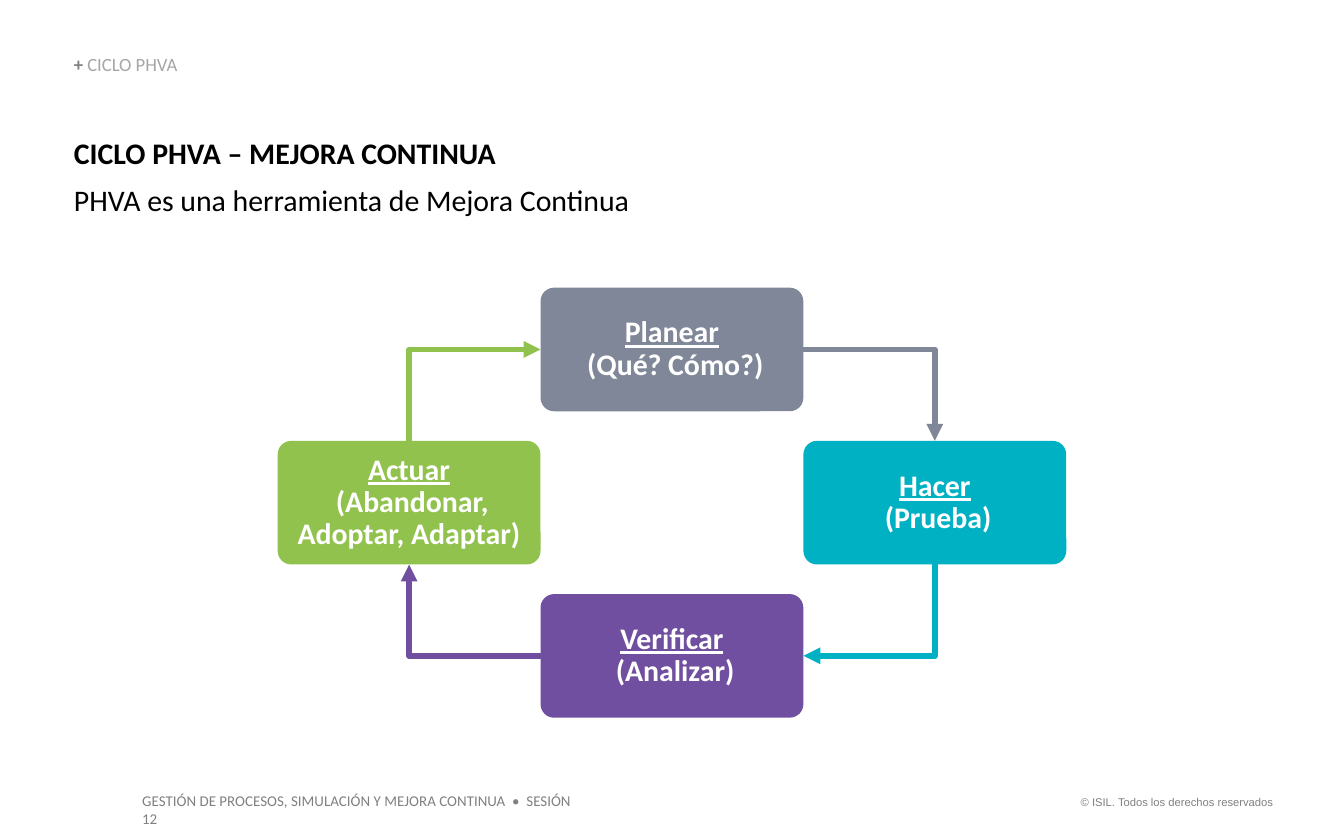
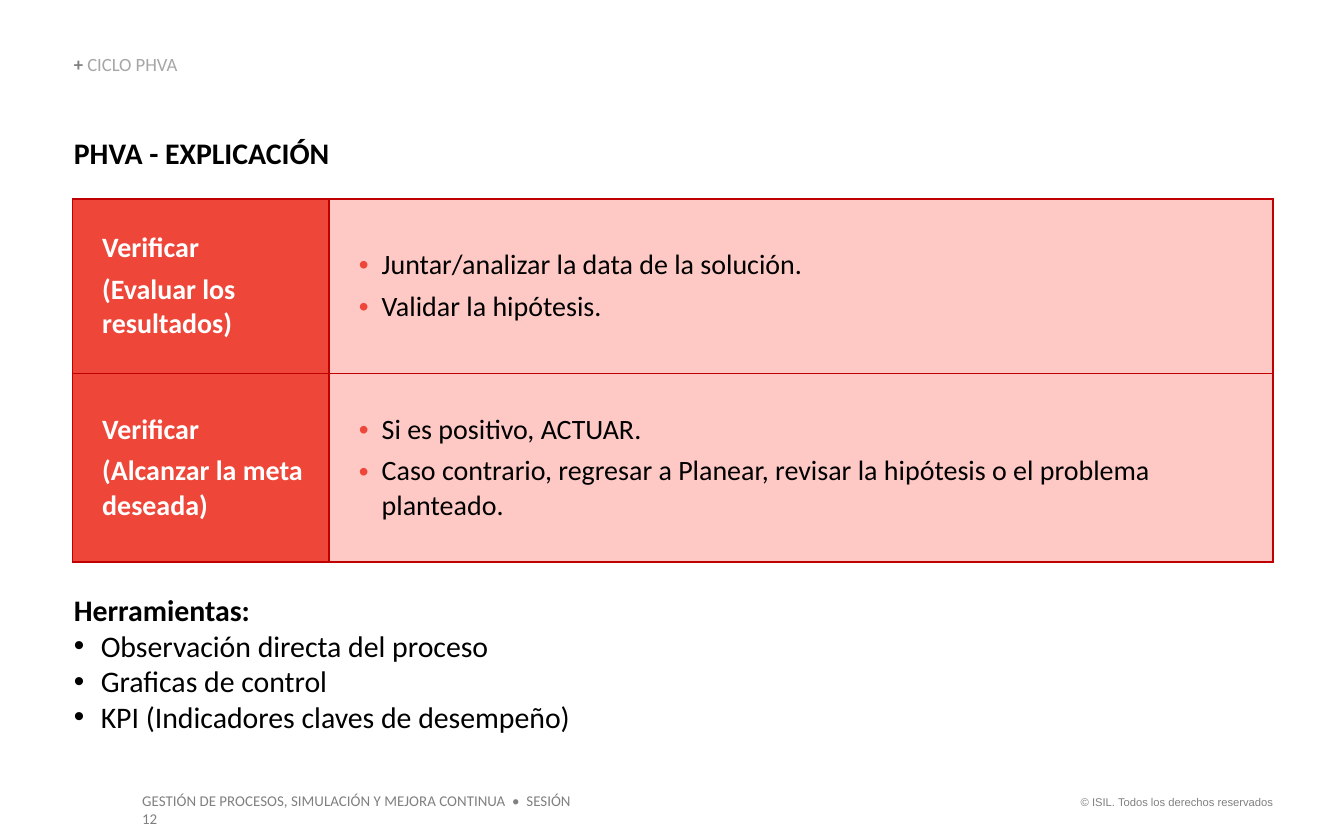
from lxml.etree import SubElement
from pptx import Presentation
from pptx.dml.color import RGBColor
from pptx.enum.shapes import MSO_CONNECTOR, MSO_SHAPE
from pptx.enum.text import MSO_ANCHOR, PP_ALIGN
from pptx.oxml.ns import qn
from pptx.util import Inches, Pt

BLACK = RGBColor(0x00, 0x00, 0x00)
WHITE = RGBColor(0xFF, 0xFF, 0xFF)
GRAY = RGBColor(0x80, 0x80, 0x80)
SILVER = RGBColor(0xA6, 0xA6, 0xA6)
SLATE = RGBColor(0x80, 0x87, 0x99)
TEAL = RGBColor(0x00, 0xB1, 0xC3)
PURPLE = RGBColor(0x71, 0x4F, 0xA0)
GREEN = RGBColor(0x92, 0xC2, 0x4E)
RED = RGBColor(0xEE, 0x46, 0x39)
PINK = RGBColor(0xFE, 0xC9, 0xC5)
BORDER = RGBColor(0xC0, 0x00, 0x00)

deck = Presentation()
deck.slide_width = Inches(10)
deck.slide_height = Inches(6.25)
COL = deck.slide_width / 100
ROW = deck.slide_height / 62.5
EDGE = 5.5


def put(slide, x, y, wide, high, inset=True):
    box = slide.shapes.add_textbox(int(x * COL), int(y * ROW), int(wide * COL), int(high * ROW))
    frame = box.text_frame
    frame.word_wrap = True
    if not inset:
        frame.margin_left = frame.margin_right = frame.margin_top = frame.margin_bottom = 0
    return frame


def write(frame, text, size, color, bold=False, font="Calibri", left=0, hang=0, mark=None, gap=0):
    para = frame.paragraphs[0]
    if para.runs:
        para = frame.add_paragraph()
        para.space_before = Pt(gap)
    props = para._p.get_or_add_pPr()
    props.set("marL", str(int(left * COL)))
    props.set("indent", str(int(-hang * COL)))
    if mark is not None:
        tint = SubElement(props, qn("a:buClr"))
        SubElement(tint, qn("a:srgbClr")).set("val", str(mark))
        SubElement(props, qn("a:buFont")).set("typeface", "Arial")
        SubElement(props, qn("a:buChar")).set("char", "•")
    run = para.add_run()
    run.text = text
    run.font.name = font
    run.font.size = Pt(size)
    run.font.bold = bold
    run.font.color.rgb = color
    return para


heads = [("CICLO PHVA – MEJORA CONTINUA", 46.5), ("PHVA - EXPLICACIÓN", 78.8)]
slides, titles = [], []
for head, wide in heads:
    slide = deck.slides.add_slide(deck.slide_layouts[6])
    right = write(put(slide, 78.8, 58.7, 16.9, 2),
                  "© ISIL. Todos los derechos reservados", 6, GRAY, font="Arial")
    right.alignment = PP_ALIGN.RIGHT
    write(put(slide, 9.6, 58.4, 35.3, 2.4),
          "GESTIÓN DE PROCESOS, SIMULACIÓN Y MEJORA CONTINUA  •  SESIÓN 12", 8, GRAY)
    crumb = put(slide, EDGE, 4.1, 26.6, 1.5, inset=False)
    crumb.vertical_anchor = MSO_ANCHOR.BOTTOM
    para = write(crumb, "+ ", 10, GRAY, bold=True)
    para.line_spacing = 0.9
    run = para.add_run()
    run.text = "CICLO PHVA"
    run.font.name = "Calibri"
    run.font.size = Pt(10)
    run.font.color.rgb = SILVER
    title = put(slide, EDGE, 10, wide, 2.7, inset=False)
    write(title, head, 16, BLACK, bold=True)
    slides.append(slide)
    titles.append(title)

cycle, detail = slides
write(titles[0], "PHVA es una herramienta de Mejora Continua", 16, BLACK, gap=6)

MIDX, MIDY = 50, 37.4
WIDE, HIGH = 19.56, 9.2
STEP = 11.4
steps = [
    ("Planear", " (Qué? Cómo?)", SLATE, 0, -1),
    ("Hacer", " (Prueba)", TEAL, 1, 0),
    ("Verificar", " (Analizar)", PURPLE, 0, 1),
    ("Actuar", " (Abandonar, Adoptar, Adaptar)", GREEN, -1, 0),
]
boxes = []
for name, note, color, dx, dy in steps:
    box = cycle.shapes.add_shape(
        MSO_SHAPE.ROUNDED_RECTANGLE,
        int((MIDX + dx * WIDE - WIDE / 2) * COL), int((MIDY + dy * STEP - HIGH / 2) * ROW),
        int(WIDE * COL), int(HIGH * ROW))
    box.adjustments[0] = 0.11
    box.shadow.inherit = False
    box.fill.solid()
    box.fill.fore_color.rgb = color
    box.line.fill.background()
    frame = box.text_frame
    frame.word_wrap = True
    frame.vertical_anchor = MSO_ANCHOR.MIDDLE
    for text in (name, note):
        para = write(frame, text, 16, WHITE, bold=True)
        para.alignment = PP_ALIGN.CENTER
        para.line_spacing = 0.9
        para.runs[0].font.underline = text == name
    boxes.append(box)

RUN, DROP = WIDE / 2, STEP - HIGH / 2
sites = [(3, 0), (2, 3), (1, 2), (0, 1)]
for i, (start, end) in enumerate(sites):
    after = (i + 1) % len(steps)
    color, dx, dy = steps[i][2:]
    midx = MIDX + (dx + steps[after][3]) * WIDE * 0.75
    midy = MIDY + (dy + steps[after][4]) * (HIGH + DROP) / 2
    wide, high = (DROP, RUN) if i % 2 else (RUN, DROP)
    line = cycle.shapes.add_connector(MSO_CONNECTOR.ELBOW, 0, 0, 0, 0)
    line.begin_connect(boxes[i], start)
    line.end_connect(boxes[after], end)
    line.left, line.top = int((midx - wide / 2) * COL), int((midy - high / 2) * ROW)
    line.width, line.height = int(wide * COL), int(high * ROW)
    line.line.color.rgb = color
    line.line.width = Pt(3)
    props = line._element.spPr
    props.find(qn("a:prstGeom")).set("prst", "bentConnector2")
    frame = props.find(qn("a:xfrm"))
    frame.set("rot", str(i * 90 * 60000))
    frame.set("flipH", "0")
    frame.set("flipV", "0")
    SubElement(props.find(qn("a:ln")), qn("a:tailEnd")).set("type", "triangle")
    SubElement(props, qn("a:effectLst"))

rows = [
    (13, ["Verificar", "(Evaluar los resultados)"],
     ["Juntar/analizar la data de la solución.", "Validar la hipótesis."]),
    (14, ["Verificar", "(Alcanzar la meta deseada)"],
     ["Si es positivo, ACTUAR.",
      "Caso contrario, regresar a Planear, revisar la hipótesis o el problema planteado."]),
]
looks = [
    (RED, dict(color=WHITE, bold=True, left=1.2)),
    (PINK, dict(color=BLACK, left=2.9, hang=1.7, mark=RED)),
]
table = detail.shapes.add_table(
    2, 2, int(5.4 * COL), int(14.8 * ROW), int(89.3 * COL), int(27 * ROW)).table
table.first_row = False
table.horz_banding = False
for i, wide in enumerate((19.1, 70.2)):
    table.columns[i].width = int(wide * COL)
for r, (high, *cells) in enumerate(rows):
    table.rows[r].height = int(high * ROW)
    for c, (texts, (fill, look)) in enumerate(zip(cells, looks)):
        cell = table.cell(r, c)
        cell.vertical_anchor = MSO_ANCHOR.MIDDLE
        for side in ("L", "R", "T", "B"):
            rule = SubElement(cell._tc.get_or_add_tcPr(), qn("a:ln" + side))
            rule.set("w", str(Pt(1)))
            paint = SubElement(rule, qn("a:solidFill"))
            SubElement(paint, qn("a:srgbClr")).set("val", str(BORDER))
        cell.fill.solid()
        cell.fill.fore_color.rgb = fill
        for text in texts:
            write(cell.text_frame, text, 15, gap=4, **look)

tools = put(detail, EDGE, 44, 89.9, 10.8, inset=False)
write(tools, "Herramientas:", 16, BLACK, bold=True)
for text in ("Observación directa del proceso", "Graficas de control",
             "KPI (Indicadores claves de desempeño)"):
    write(tools, text, 16, BLACK, left=2, hang=2, mark=BLACK)

deck.save("out.pptx")
